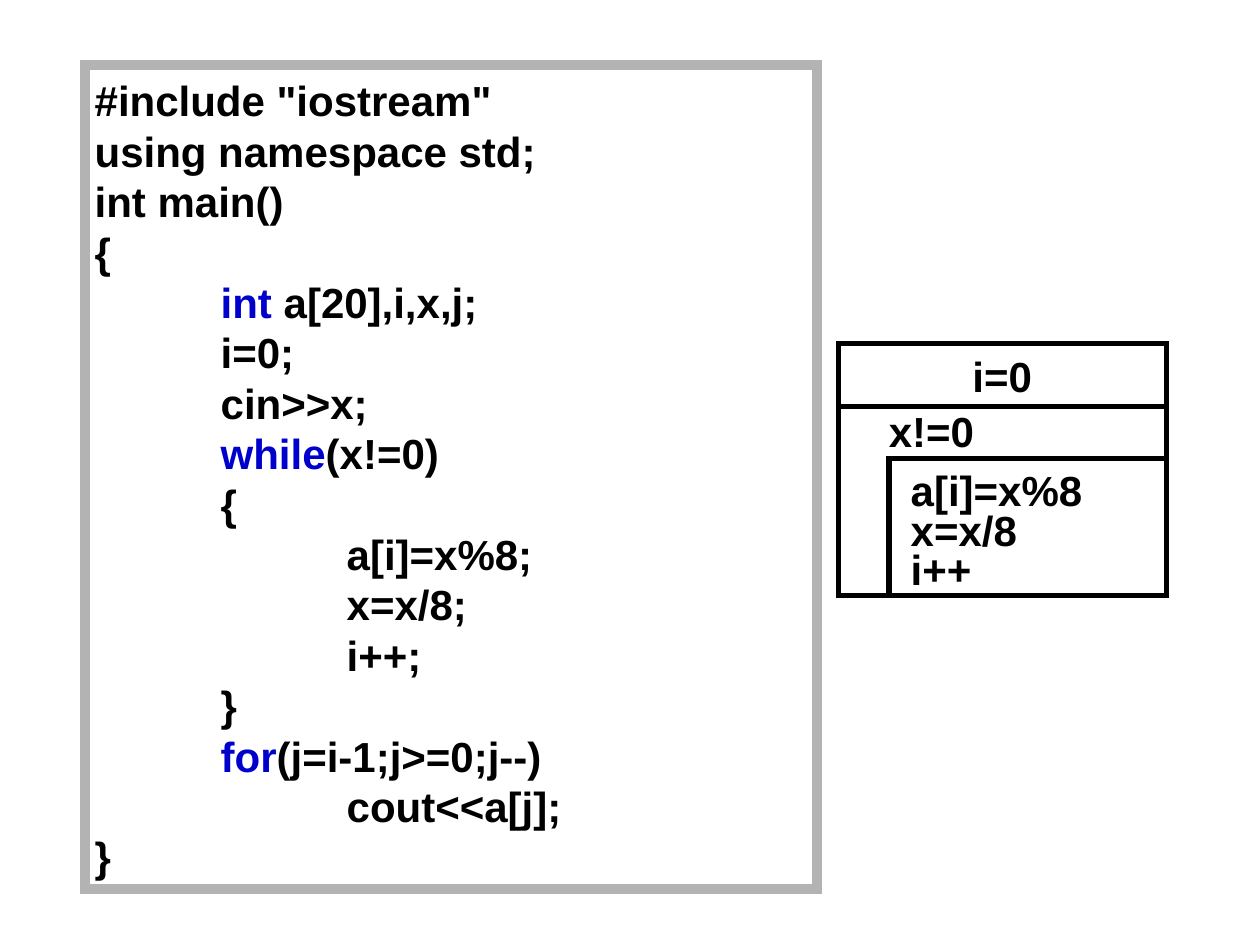
from lxml import etree
from pptx import Presentation
from pptx.dml.color import RGBColor
from pptx.enum.shapes import MSO_SHAPE
from pptx.enum.text import MSO_ANCHOR, PP_ALIGN
from pptx.oxml.ns import qn
from pptx.util import Cm, Pt

RECTANGLE = MSO_SHAPE.RECTANGLE
TOP, MIDDLE = MSO_ANCHOR.TOP, MSO_ANCHOR.MIDDLE
LEFT, CENTER = PP_ALIGN.LEFT, PP_ALIGN.CENTER

BLACK, BLUE, GRAY = "000000", "0000CC", "B3B3B3"
KEYWORDS = ("int ", "while", "for")
CODE = [
    '#include "iostream"',
    "using namespace std;",
    "int main()",
    "{",
    "\tint a[20],i,x,j;",
    "\ti=0;",
    "\tcin>>x;",
    "\twhile(x!=0)",
    "\t{",
    "\t\ta[i]=x%8;",
    "\t\tx=x/8;",
    "\t\ti++;",
    "\t}",
    "\tfor(j=i-1;j>=0;j--)",
    "\t\tcout<<a[j];",
    "}",
]
START, CONDITION = "i=0", "x!=0"
LOOP_STEPS = ["a[i]=x%8", "x=x/8", "i++"]

TAB_WIDTH = 2.54
CHART_LEFT, CHART_TOP, CHART_WIDTH = 16.9, 6.93, 6.61
START_HEIGHT, LOOP_HEIGHT = 1.27, 3.81
BODY_INDENT, BODY_DROP = 1.02, 1.05
STEP_PITCH = 0.8


def color(value):
    return RGBColor.from_string(value)


def add_frame(page, left, top, width, height, line_color, line_width):
    box = page.shapes.add_shape(RECTANGLE, Cm(left), Cm(top), Cm(width), Cm(height))
    box.shadow.inherit = False
    box.fill.background()
    box.line.color.rgb = color(line_color)
    box.line.width = Pt(line_width)
    outline = box._element.spPr.find(qn("a:ln"))
    etree.SubElement(outline, qn("a:miter"), lim="800000")
    return box


def add_tab_stops(para, count):
    stops = etree.SubElement(para._p.get_or_add_pPr(), qn("a:tabLst"))
    for number in range(1, count + 1):
        etree.SubElement(stops, qn("a:tab"), pos=str(Cm(number * TAB_WIDTH)), algn="l")


def write_lines(box, lines, align=LEFT, anchor=TOP, wrap=True):
    frame = box.text_frame
    frame.word_wrap = wrap
    frame.vertical_anchor = anchor
    for number, line in enumerate(lines):
        para = frame.paragraphs[0] if number == 0 else frame.add_paragraph()
        code = line.lstrip("\t")
        tabs = line[:len(line) - len(code)]
        para.alignment = align
        para.line_spacing = Pt(28.8)
        if tabs:
            add_tab_stops(para, len(tabs))
        para.font.name = "Arial"
        para.font.size = Pt(24)
        para.font.bold = True
        para.font.color.rgb = color(BLACK)
        keyword = next((word for word in KEYWORDS if tabs and code.startswith(word)), "")
        for text, shade in ((tabs, BLACK), (keyword, BLUE), (code[len(keyword):], BLACK)):
            if text:
                span = para.add_run()
                span.text = text
                span.font.color.rgb = color(shade)


def add_label(page, text, left, top, width):
    box = page.shapes.add_textbox(Cm(left), Cm(top), Cm(width), Cm(1.29))
    write_lines(box, [text])


def add_code(page):
    box = add_frame(page, 1.71, 1.31, 14.76, 16.61, GRAY, 6)
    frame = box.text_frame
    frame.margin_left = frame.margin_top = Cm(0.2)
    frame.margin_right = frame.margin_bottom = 0
    write_lines(box, CODE)


def add_structure_chart(page):
    loop_top = CHART_TOP + START_HEIGHT
    body_top = loop_top + BODY_DROP
    start = add_frame(page, CHART_LEFT, CHART_TOP, CHART_WIDTH, START_HEIGHT, BLACK, 3)
    write_lines(start, [START], CENTER, MIDDLE, False)
    add_frame(page, CHART_LEFT, loop_top, CHART_WIDTH, LOOP_HEIGHT, BLACK, 3)
    add_frame(page, CHART_LEFT + BODY_INDENT, body_top, CHART_WIDTH - BODY_INDENT,
              LOOP_HEIGHT - BODY_DROP, BLACK, 3)
    add_label(page, CONDITION, 17.67, 8.05, 4.24)
    for number, step in enumerate(LOOP_STEPS):
        add_label(page, step, 18.11, body_top - 0.01 + number * STEP_PITCH, 6.6)


def main():
    deck = Presentation()
    deck.slide_width, deck.slide_height = Cm(25.4), Cm(19.05)
    page = deck.slides.add_slide(deck.slide_layouts[6])
    add_code(page)
    add_structure_chart(page)
    deck.save("out.pptx")


if __name__ == "__main__":
    main()
